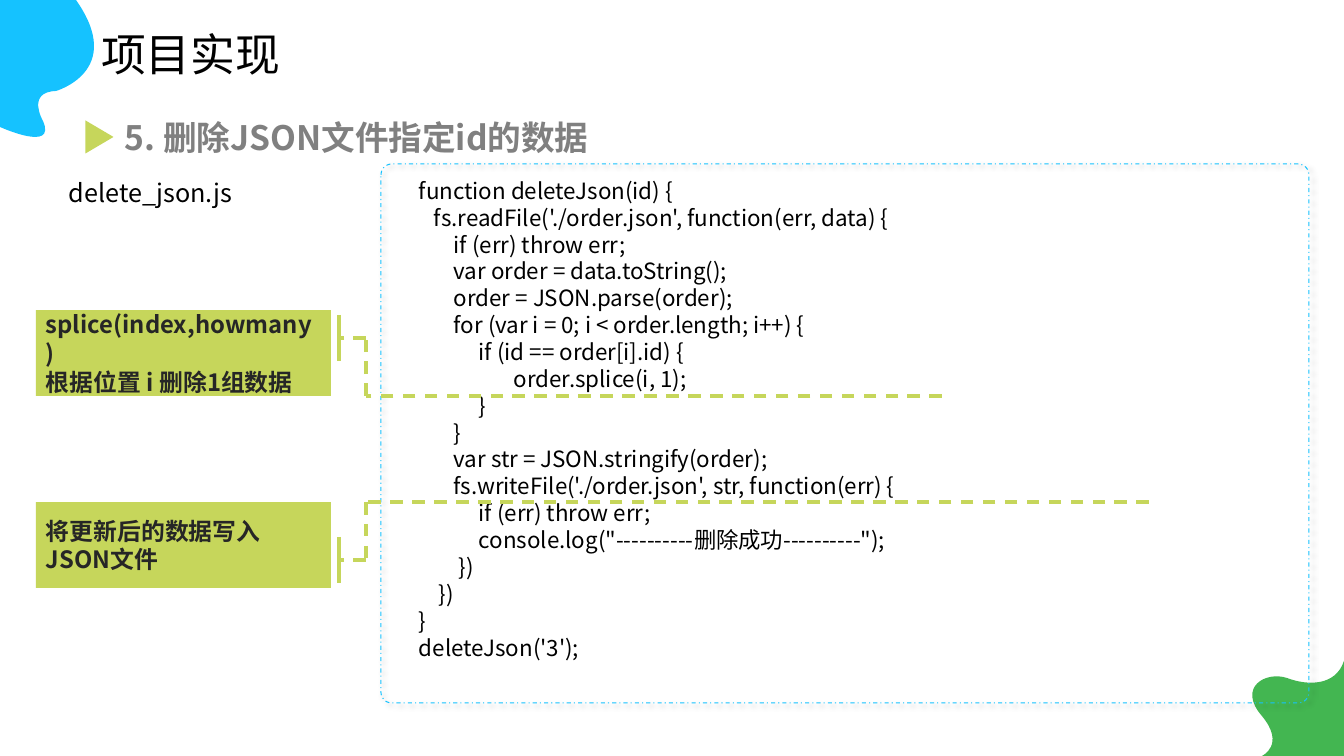
from pptx import Presentation
from pptx.dml.color import RGBColor
from pptx.enum.dml import MSO_LINE
from pptx.enum.shapes import MSO_CONNECTOR, MSO_SHAPE
from pptx.enum.text import MSO_ANCHOR, MSO_AUTO_SIZE, PP_ALIGN
from pptx.oxml import parse_xml
from pptx.oxml.ns import nsdecls, qn
from pptx.util import Pt
from lxml.etree import SubElement

# Content
FONT = "Noto Sans CJK SC"
LIME, BLUE, GREEN = "C6D65B", "15C2FF", "43B651"
TITLE = "项目实现"
HEADING = "5. 删除JSON文件指定id的数据"
FILE = "delete_json.js"
CODE = [
    "function deleteJson(id) {",
    "   fs.readFile('./order.json', function(err, data) {",
    "       if (err) throw err;",
    "       var order = data.toString();",
    "       order = JSON.parse(order);",
    "       for (var i = 0; i < order.length; i++) {",
    "            if (id == order[i].id) {",
    "                   order.splice(i, 1);",
    "            }",
    "       }",
    "       var str = JSON.stringify(order);",
    "       fs.writeFile('./order.json', str, function(err) {",
    "            if (err) throw err;",
    "            console.log(\"----------删除成功----------\");",
    "        })",
    "    })",
    "}",
    "deleteJson('3');",
]
# Callouts: lines, box top, rule height, rule end, bracket centre
NOTES = [
    (["splice(index,howmany)", "根据位置 i 删除1组数据"], 310, 396, 942, 338),
    (["将更新后的数据写入JSON文件"], 502, 502, 1149, 560),
]
# Corner blobs: colour, start, curves (two controls and an end)
BLOBS = [
    (BLUE, (0, 127), [
        ((0, 127), (57, 153), (43, 121)),
        ((43, 121), (26, 92), (56, 91)),
        ((56, 91), (126, 71), (76, 0)),
        ((0, 0), (0, 0), (0, 0))]),
    (GREEN, (1262, 756), [
        ((1262, 756), (1286, 745), (1262, 716)),
        ((1237, 687), (1266, 671), (1287, 678)),
        ((1308, 686), (1336, 686), (1344, 661)),
        ((1344, 756), (1344, 756), (1344, 756))]),
]

SCALE = 914400 / 100.8


def px(*vals):
    return [round(v * SCALE) for v in vals]


def rgb(code):
    return RGBColor.from_string(code)


def write(frame, lines, size, color, bold=False, lead=None):
    frame.text = "\n".join(lines)
    for para in frame.paragraphs:
        para.alignment = PP_ALIGN.LEFT
        para.line_spacing = lead
        for run in para.runs:
            font = run.font
            font.size, font.bold, font.name = Pt(size), bold, FONT
            font.color.rgb = rgb(color)
            SubElement(font._element, qn("a:ea")).set("typeface", FONT)


def label(box, lines, size, color="000000", bold=False, lead=None, wrap=True):
    frame = box.text_frame
    frame.word_wrap = wrap
    frame.auto_size = MSO_AUTO_SIZE.SHAPE_TO_FIT_TEXT
    frame.vertical_anchor = MSO_ANCHOR.TOP
    write(frame, lines, size, color, bold, lead)


def paint(shape, color):
    shape.shadow.inherit = False
    shape.fill.solid()
    shape.fill.fore_color.rgb = rgb(color)
    shape.line.fill.background()


def rule(shapes, x1, y1, x2, y2, dash=None):
    line = shapes.add_connector(MSO_CONNECTOR.STRAIGHT, *px(x1, y1, x2, y2))
    line.line.color.rgb = rgb(LIME)
    line.line.width = Pt(2.25)
    if dash:
        line.line.dash_style = dash
    SubElement(line._element.spPr, qn("a:effectLst"))


def blob(shapes, color, start, curves):
    pen = shapes.build_freeform(*px(*start), scale=1.0)
    pen.add_line_segments([px(*spot) for trio in curves for spot in trio])
    shape = pen.convert_to_shape()
    # Turn each three straight steps into one curve
    steps = list(shape._element.iter(qn("a:lnTo")))
    for i in range(0, len(curves) * 3, 3):
        bend = parse_xml(f'<a:cubicBezTo {nsdecls("a")}/>')
        steps[i].addprevious(bend)
        for step in steps[i:i + 3]:
            bend.append(step[0])
            step.getparent().remove(step)
    paint(shape, color)


def panel(shapes):
    frame = shapes.add_shape(MSO_SHAPE.ROUNDED_RECTANGLE, *px(381, 164, 928, 539))
    frame.adjustments[0] = 0.02
    frame.fill.background()
    frame.line.color.rgb = rgb(BLUE)
    frame.line.width = Pt(0.75)
    frame.line.dash_style = MSO_LINE.DASH_DOT
    frame._element.spPr.append(parse_xml(
        f'<a:effectLst {nsdecls("a")}><a:outerShdw blurRad="{Pt(4)}" '
        f'dist="{Pt(3)}" dir="2700000" algn="tl" rotWithShape="0">'
        '<a:srgbClr val="000000"><a:alpha val="40000"/></a:srgbClr>'
        '</a:outerShdw></a:effectLst>'))


def note(shapes, lines, top, level, end, mid):
    box = shapes.add_shape(MSO_SHAPE.RECTANGLE, *px(36, top, 295, 86))
    paint(box, LIME)
    box.text_frame.word_wrap = True
    box.text_frame.vertical_anchor = MSO_ANCHOR.MIDDLE
    write(box.text_frame, lines, 17, "262626", True)
    bar, bend = 339, 366
    path = [(end, level), (bend, level), (bend, mid), (bar, mid)]
    for a, b in zip(path, path[1:]):
        rule(shapes, *a, *b, MSO_LINE.DASH)
    rule(shapes, bar, mid - 23, bar, mid + 23)


def main():
    deck = Presentation()
    deck.slide_width, deck.slide_height = px(1344, 756)
    slide = deck.slides.add_slide(deck.slide_layouts[5])
    shapes = slide.shapes

    # Corners and title
    for item in BLOBS:
        blob(shapes, *item)
    title = shapes.title
    title.left, title.top, title.width, title.height = px(91, 22, 200, 65)
    label(title, [TITLE], 32, wrap=False)

    # Code panel
    panel(shapes)
    label(shapes.add_textbox(*px(409, 172, 828, 499)), CODE, 16)

    # Callouts
    for item in NOTES:
        note(shapes, *item)

    # Heading, marker and file name
    label(shapes.add_textbox(*px(115, 104, 546, 58)), [HEADING], 24,
          "808080", True, 1.2)
    label(shapes.add_textbox(*px(59, 172, 214, 40)), [FILE], 18)
    mark = shapes.add_shape(MSO_SHAPE.ISOSCELES_TRIANGLE, *px(83, 123, 33, 28))
    mark.rotation = 90
    paint(mark, LIME)

    deck.save("out.pptx")


if __name__ == "__main__":
    main()
